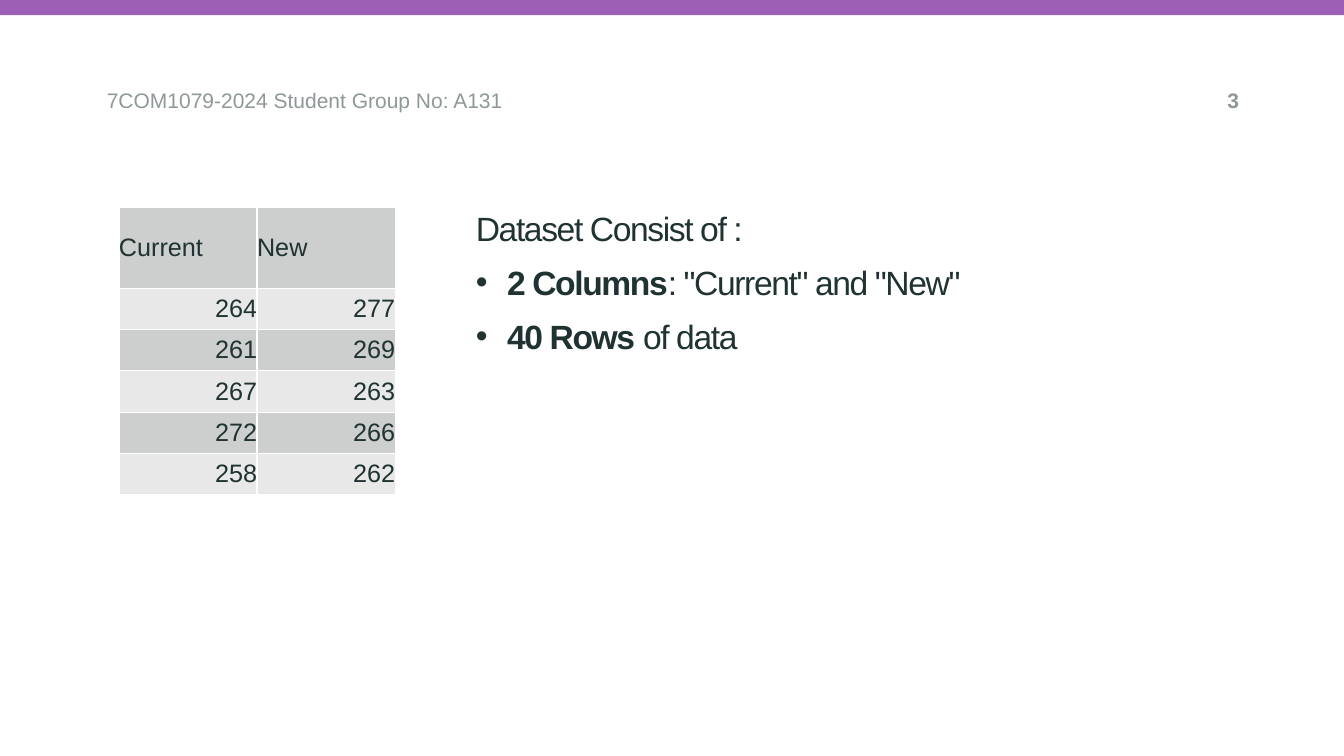
from lxml.etree import SubElement
from pptx import Presentation
from pptx.dml.color import RGBColor
from pptx.enum.shapes import MSO_SHAPE as Shape
from pptx.enum.text import MSO_ANCHOR as Anchor, PP_ALIGN as Align
from pptx.oxml.ns import qn
from pptx.util import Inches, Pt

COLORS = {
    "accent": "9C5FB5",
    "ink": "203232",
    "muted": "8F9898",
    "dark_band": "CDCECE",
    "light_band": "E8E8E8",
    "rule": "FFFFFF",
}
FONT = "Arial"

DATASET = [
    ("Current", "New"),
    (264, 277),
    (261, 269),
    (267, 263),
    (272, 266),
    (258, 262),
]
SUMMARY = [
    ("", "Dataset Consist of :"),
    ("2 Columns", ': "Current" and "New"'),
    ("40 Rows", " of data"),
]


def color(name):
    return RGBColor.from_string(COLORS[name])


def style(paragraph, size, color_name, align=Align.LEFT):
    paragraph.alignment = align
    font = paragraph.font
    font.name, font.size = FONT, Pt(size)
    font.color.rgb = color(color_name)


def clear_margins(box):
    box.margin_left = box.margin_top = box.margin_right = box.margin_bottom = 0


def add_frame(slide, left, top, width, height):
    frame = slide.shapes.add_textbox(
        Inches(left), Inches(top), Inches(width), Inches(height)
    ).text_frame
    frame.word_wrap = True
    clear_margins(frame)
    return frame


def add_label(slide, text, left, width, height, align=Align.LEFT, bold=False):
    paragraph = add_frame(slide, left, 0.87, width, height).paragraphs[0]
    paragraph.text = text
    style(paragraph, 15, "muted", align)
    paragraph.font.bold = bold


def add_top_band(slide, width):
    band = slide.shapes.add_shape(Shape.RECTANGLE, 0, 0, width, Inches(0.15))
    band.shadow.inherit = False
    band.fill.solid()
    band.fill.fore_color.rgb = color("accent")
    band.line.fill.background()


def set_bullet(paragraph):
    properties = paragraph._p.get_or_add_pPr()
    properties.set("marL", str(Inches(0.31)))
    properties.set("indent", str(-Inches(0.31)))
    SubElement(properties, qn("a:buFont"), typeface=FONT)
    SubElement(properties, qn("a:buChar"), char="•")


def add_summary(slide):
    frame = add_frame(slide, 4.72, 2.06, 7.56, 3.17)
    for index, (lead, rest) in enumerate(SUMMARY):
        paragraph = frame.add_paragraph() if index else frame.paragraphs[0]
        paragraph.line_spacing = Pt(28.8)
        paragraph.space_after = Pt(9.9)
        if lead:
            set_bullet(paragraph)
        style(paragraph, 24, "ink")
        for text, bold in ((lead, True), (rest, False)):
            if text:
                run = paragraph.add_run()
                run.text = text
                run.font.bold = bold
                run.font._element.set("spc", "-100")


def set_borders(cell):
    properties = cell._tc.get_or_add_tcPr()
    for position, side in enumerate(("lnL", "lnR", "lnT", "lnB")):
        line = properties.makeelement(qn(f"a:{side}"), {"w": str(Pt(1))})
        properties.insert(position, line)
        fill = SubElement(line, qn("a:solidFill"))
        SubElement(fill, qn("a:srgbClr"), val=COLORS["rule"])


def add_dataset(slide):
    table = slide.shapes.add_table(
        len(DATASET), len(DATASET[0]),
        Inches(1.18), Inches(2.06), Inches(2.74), Inches(2.85),
    ).table
    for column in table.columns:
        column.width = Inches(1.37)
    for row_index, values in enumerate(DATASET):
        table.rows[row_index].height = Inches(0.41 if row_index else 0.8)
        for column_index, value in enumerate(values):
            cell = table.cell(row_index, column_index)
            cell.text = str(value)
            clear_margins(cell)
            cell.vertical_anchor = Anchor.MIDDLE
            cell.fill.solid()
            cell.fill.fore_color.rgb = color("light_band" if row_index % 2 else "dark_band")
            set_borders(cell)
            paragraph = cell.text_frame.paragraphs[0]
            style(paragraph, 18, "ink", Align.RIGHT if row_index else Align.LEFT)
            paragraph.font.bold = False


def main():
    deck = Presentation()
    deck.slide_width, deck.slide_height = Inches(13.33), Inches(7.5)
    slide = deck.slides.add_slide(deck.slide_layouts[6])
    add_top_band(slide, deck.slide_width)
    add_summary(slide)
    add_label(slide, "7COM1079-2024 Student Group No: A131", 1.06, 10.24, 1.49)
    add_label(slide, "3", 11.61, 0.68, 0.25, Align.RIGHT, bold=True)
    add_dataset(slide)
    deck.save("out.pptx")


if __name__ == "__main__":
    main()
